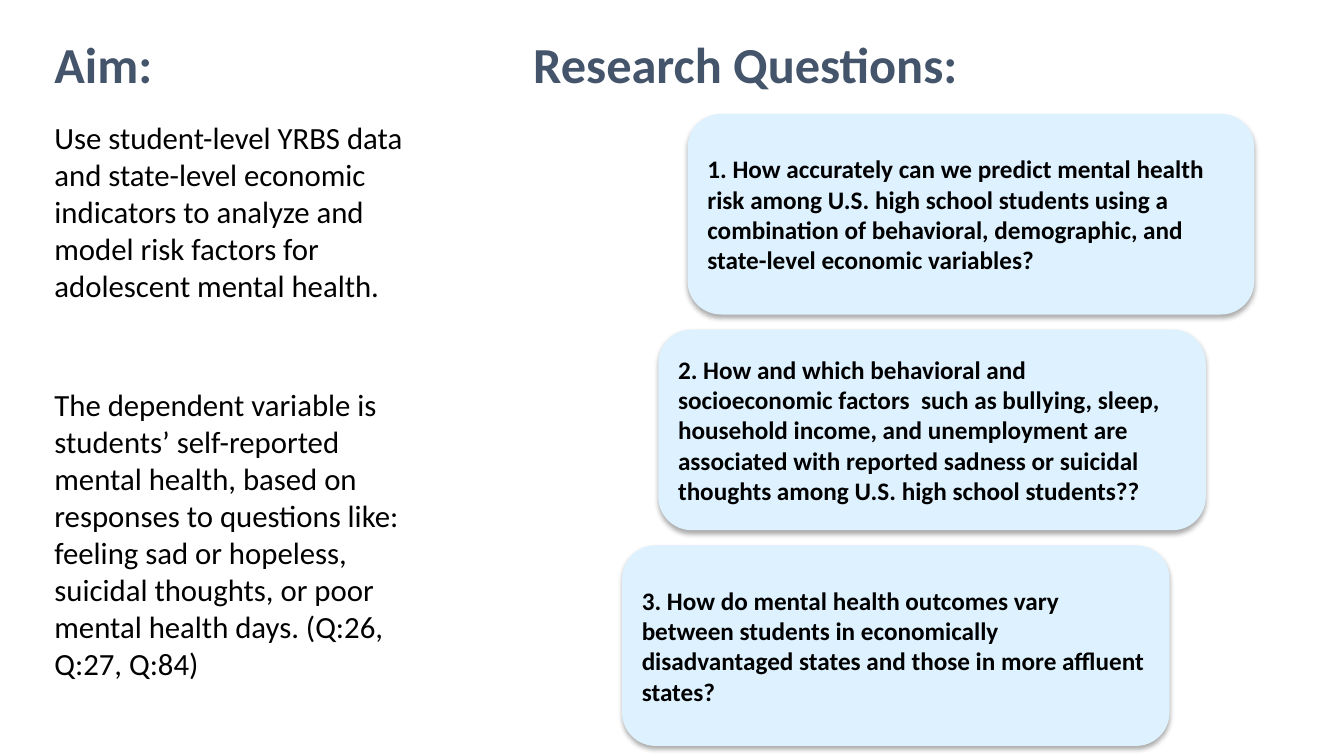
from dataclasses import dataclass

from lxml.etree import SubElement
from pptx import Presentation
from pptx.dml.color import RGBColor
from pptx.enum.shapes import MSO_SHAPE as SHAPE
from pptx.enum.text import MSO_ANCHOR as ANCHOR, MSO_AUTO_SIZE as AUTO, PP_ALIGN as ALIGN
from pptx.oxml import parse_xml
from pptx.oxml.ns import nsdecls, qn
from pptx.util import Inches, Pt


@dataclass(frozen=True)
class Theme:
    font: str = "Calibri"
    heading: str = "44546A"
    text: str = "000000"
    card: str = "DDF1FF"
    outline: str = "FFFFFF"
    heading_size: int = 36
    body_size: int = 22
    card_size: int = 18


THEME = Theme()
AIM = [
    "Use student-level YRBS data and state-level economic indicators to analyze "
    "and model risk factors for adolescent mental health.",
    "The dependent variable is students’ self-reported mental health, based on "
    "responses to questions like: feeling sad or hopeless, suicidal thoughts, or "
    "poor mental health days. (Q:26, Q:27, Q:84)",
]
QUESTIONS = [
    "1. How accurately can we predict mental health risk among U.S. high school "
    "students using a combination of behavioral, demographic, and state-level "
    "economic variables?",
    "2. How and which behavioral and socioeconomic factors  such as bullying, sleep, "
    "household income, and unemployment are associated with reported sadness or "
    "suicidal thoughts among U.S. high school students??",
    "3. How do mental health outcomes vary between students in economically "
    "disadvantaged states and those in more affluent states?",
]


def set_box(sp, *box):
    for name, value in zip(("left", "top", "width", "height"), box):
        setattr(sp, name, Inches(value))


def write(sp, text, size, color, bold=False, anchor=ANCHOR.TOP):
    tf = sp.text_frame
    frame = {"word_wrap": True, "auto_size": AUTO.NONE, "vertical_anchor": anchor}
    for name, value in frame.items():
        setattr(tf, name, value)
    p = tf.paragraphs[0]
    p.alignment, p.space_before = ALIGN.LEFT, Pt(0)
    r = p.add_run()
    r.text = text
    for name, value in {"name": THEME.font, "size": Pt(size), "bold": bold}.items():
        setattr(r.font, name, value)
    r.font.color.rgb = RGBColor.from_string(color)
    return p, r


def write_heading(sp, text):
    _, r = write(sp, text, THEME.heading_size, THEME.heading, bold=True)
    r.font._element.insert(0, parse_xml(
        f'<a:ln {nsdecls("a")} w="{Pt(0.75)}"><a:solidFill>'
        f'<a:srgbClr val="{THEME.outline}"/></a:solidFill></a:ln>'))


def add_aim(s, left, top, width):
    title, *bodies = s.placeholders
    set_box(title, left, top, 1.28, 0.71)
    write_heading(title, "Aim:")
    for sp, text, offset, height in zip(bodies, AIM, (0.85, 3.5), (1.95, 3.06)):
        set_box(sp, left, top + offset, width, height)
        p, _ = write(sp, text, THEME.body_size, THEME.text)
        pPr = p._p.get_or_add_pPr()
        for name in ("marL", "indent"):
            pPr.set(name, "0")
        SubElement(pPr, qn("a:buNone"))


def add_card(s, text, left, top, width, height):
    sp = s.shapes.add_shape(SHAPE.ROUNDED_RECTANGLE,
                            *map(Inches, (left, top, width, height)))
    sp.fill.solid()
    sp.fill.fore_color.rgb = RGBColor.from_string(THEME.card)
    sp.line.fill.background()
    sp.shadow.inherit = False
    sp._element.spPr.find(qn("a:effectLst")).append(parse_xml(
        f'<a:outerShdw {nsdecls("a")} blurRad="{Pt(3.5)}" dist="{Pt(2.2)}" '
        'dir="5400000" algn="ctr" rotWithShape="0"><a:srgbClr val="000000">'
        '<a:alpha val="32000"/></a:srgbClr></a:outerShdw>'))
    write(sp, text, THEME.card_size, THEME.text, bold=True, anchor=ANCHOR.MIDDLE)


def add_questions(s, left, top):
    heading = s.shapes.add_textbox(*map(Inches, (left, top, 4.61, 0.71)))
    write_heading(heading, "Research Questions:")
    height, gap = 1.99, 0.15
    steps = zip(QUESTIONS, (1.63, 1.34, 0.98), (5.62, 5.43, 5.43))
    for i, (text, shift, width) in enumerate(steps):
        add_card(s, text, left + shift, top + 0.85 + i * (height + gap), width, height)


def main():
    prs = Presentation()
    prs.slide_width, prs.slide_height = Inches(13.33), Inches(7.5)
    s = prs.slides.add_slide(prs.slide_layouts.get_by_name("Two Content"))
    add_aim(s, 0.44, 0.28, 3.71)
    add_questions(s, 5.19, 0.28)
    prs.save("out.pptx")


if __name__ == "__main__":
    main()
